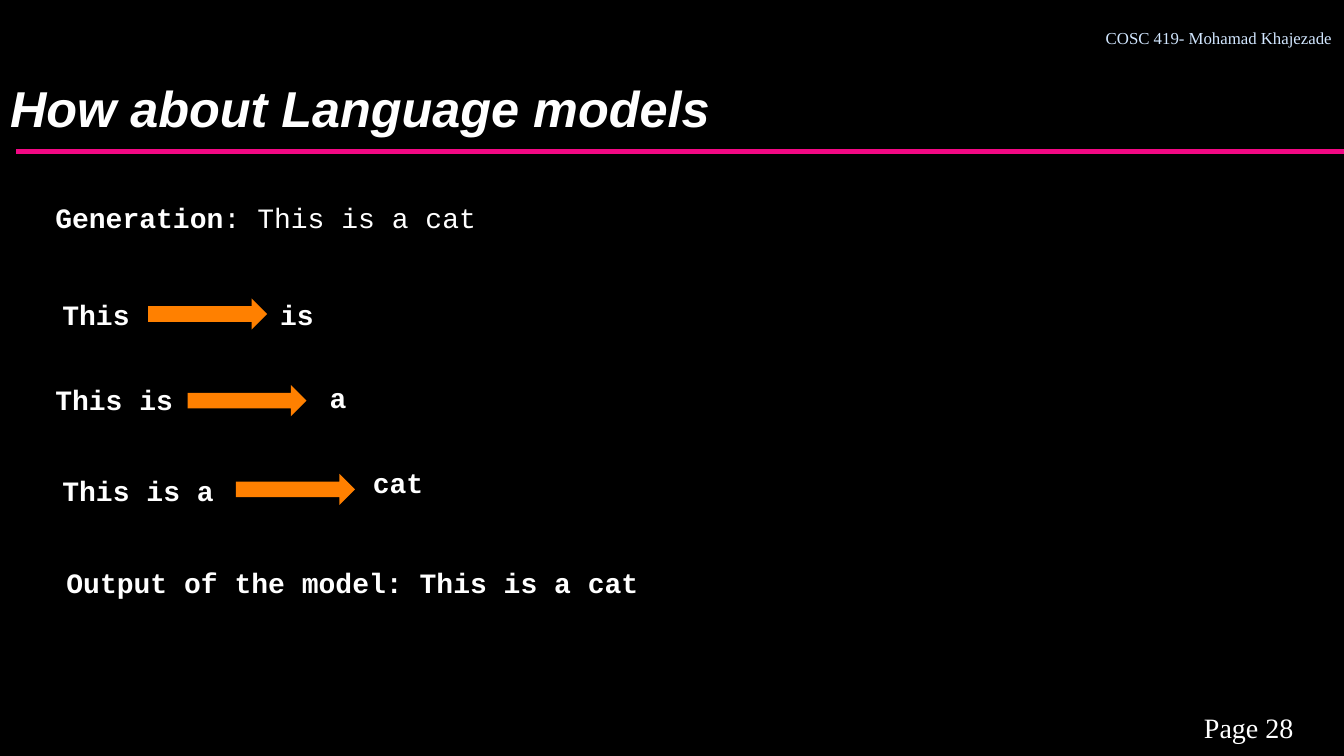
"""Build the slide on next-word generation with a language model."""
import pptx
import pptx.util
import pptx.dml.color
import pptx.enum.shapes
import pptx.enum.text
import lxml.etree

COLORS = {"back": "000000", "text": "FFFFFF", "rule": "F20884", "head": "D2E7FF", "arrow": "FF8000"}
ALIGN = pptx.enum.text.PP_ALIGN
ANCHOR = pptx.enum.text.MSO_ANCHOR
COLS, ROWS = 133.3, 75
TITLE = "How about Language models"
CODE = {"name": "Courier New", "size": 20, "bold": True}
PLAIN = {**CODE, "bold": False}
SERIF = {"name": "Times New Roman", "size": 20}
SMALL = {**SERIF, "size": 12}
BOLD = {"name": "Arial", "size": 36, "bold": True, "italic": True}
LINES = [
    ((4.5, 19.4, 76.4), [("Generation", CODE), (": This is a cat", PLAIN)]),
    ((5.6, 55.6, 72.1), [("Output of the model: This is a cat", CODE)]),
]
STEPS = [
    ("This", (5.2, 29, 9.4), (14.7, 29.6), "is", (26.8, 29)),
    ("This is", (4.5, 37.5, 15.7), (18.6, 38.2), "a", (31.7, 37.3)),
    ("This is a", (5.2, 46.5, 18.9), (23.4, 47), "cat", (36, 45.7)),
]
TALL, NEXT = 4.4, 9.4
ARROW = (11.8, 3.1)

deck = pptx.Presentation()
deck.slide_width = pptx.util.Inches(13.33)
deck.slide_height = pptx.util.Inches(7.5)
slide = deck.slides.add_slide(deck.slide_layouts[5])
shapes = slide.shapes


def tint(key):
    return pptx.dml.color.RGBColor.from_string(COLORS[key])


def paint(fill, key):
    fill.solid()
    fill.fore_color.rgb = tint(key)


def grid(*cells):
    """Turn column and row counts, in turn, into lengths."""
    sizes = (deck.slide_width / COLS, deck.slide_height / ROWS)
    return [round(cell * sizes[i % 2]) for i, cell in enumerate(cells)]


def write(shape, runs, key="text", align=ALIGN.LEFT):
    shape.text_frame.word_wrap = True
    para = shape.text_frame.paragraphs[0]
    para.alignment = align
    for text, style in runs:
        run = para.add_run()
        run.text = text
        run.font.color.rgb = tint(key)
        for name, value in style.items():
            setattr(run.font, name, pptx.util.Pt(value) if name == "size" else value)
    return para


def label(left, top, wide, runs, tall=TALL, **look):
    box = shapes.add_textbox(*grid(left, top, wide, tall))
    write(box, runs, **look)
    return box


paint(slide.background.fill, "back")

rule = shapes.add_connector(pptx.enum.shapes.MSO_CONNECTOR.STRAIGHT, *grid(1.6, 15, COLS, 15))
rule.line.color.rgb = tint("rule")
rule.line.width = pptx.util.Pt(3.75)
space = "http://schemas.openxmlformats.org/drawingml/2006/main"
lxml.etree.SubElement(rule.element.spPr, "{%s}effectLst" % space)

label(114.4, 70, 18.9, [("Page 28", SERIF)], align=ALIGN.CENTER)
head = label(98.5, 0.3, 34.6, [("COSC 419- Mohamad Khajezade", SMALL)], 4.7, key="head", align=ALIGN.RIGHT)
head.text_frame.margin_top, head.text_frame.margin_bottom = grid(0, 2.8)[1], 0

title = shapes.title
title.left, title.top, title.width, title.height = grid(0, 0, COLS, 14.2)
title.text_frame.auto_size = pptx.enum.text.MSO_AUTO_SIZE.NONE
title.text_frame.vertical_anchor = ANCHOR.BOTTOM
write(title, [(TITLE, BOLD)]).line_spacing = 0.89

for place, runs in LINES:
    label(*place, runs)

for given, place, start, word, spot in STEPS:
    label(*place, [(given, CODE)])
    arrow = shapes.add_shape(pptx.enum.shapes.MSO_SHAPE.RIGHT_ARROW, *grid(*start, *ARROW))
    arrow.shadow.inherit = False
    paint(arrow.fill, "arrow")
    arrow.line.fill.background()
    label(*spot, NEXT, [(word, CODE)])

deck.save("out.pptx")
